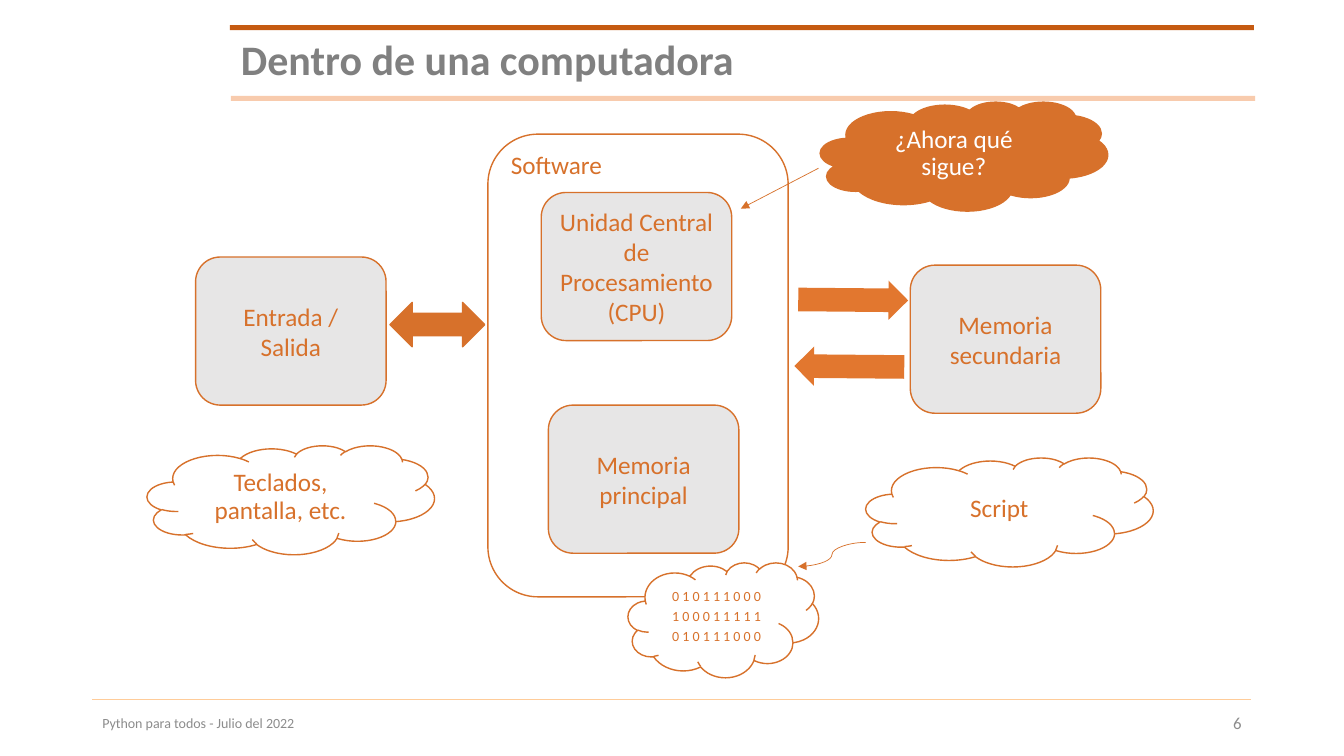
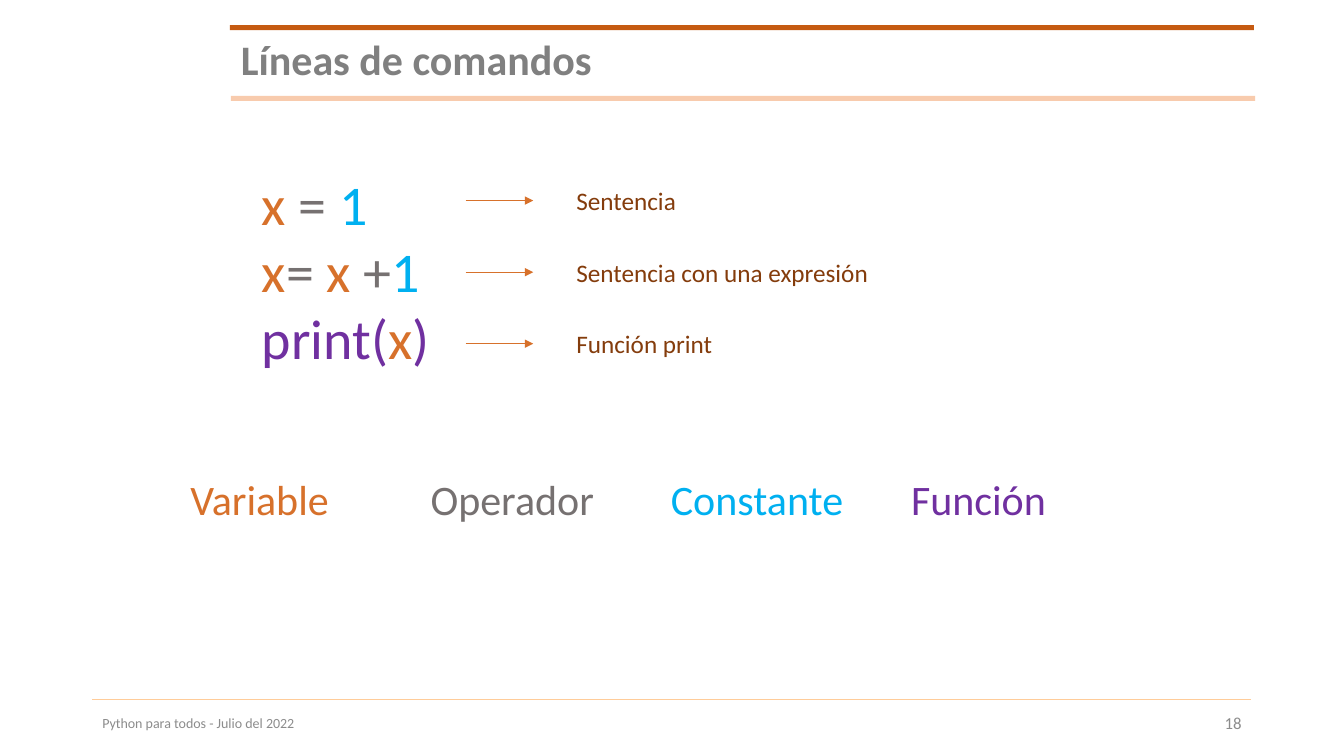
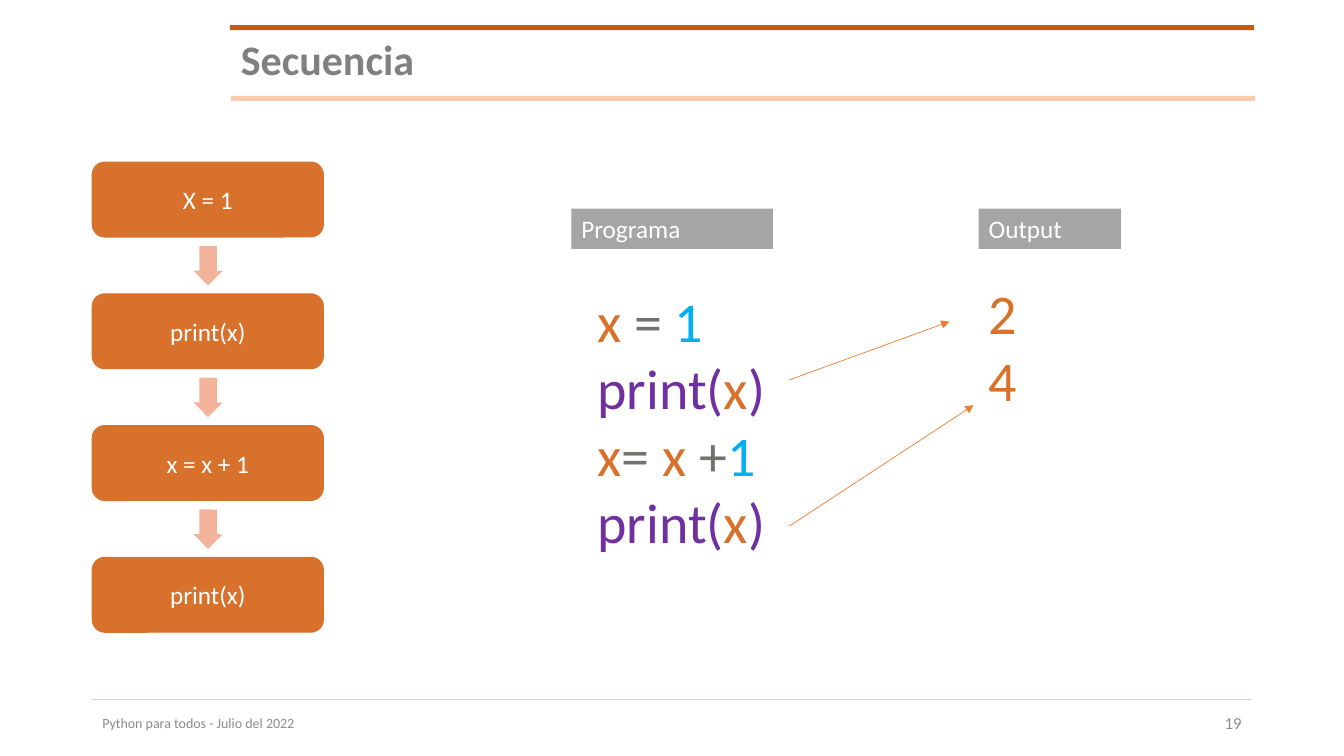
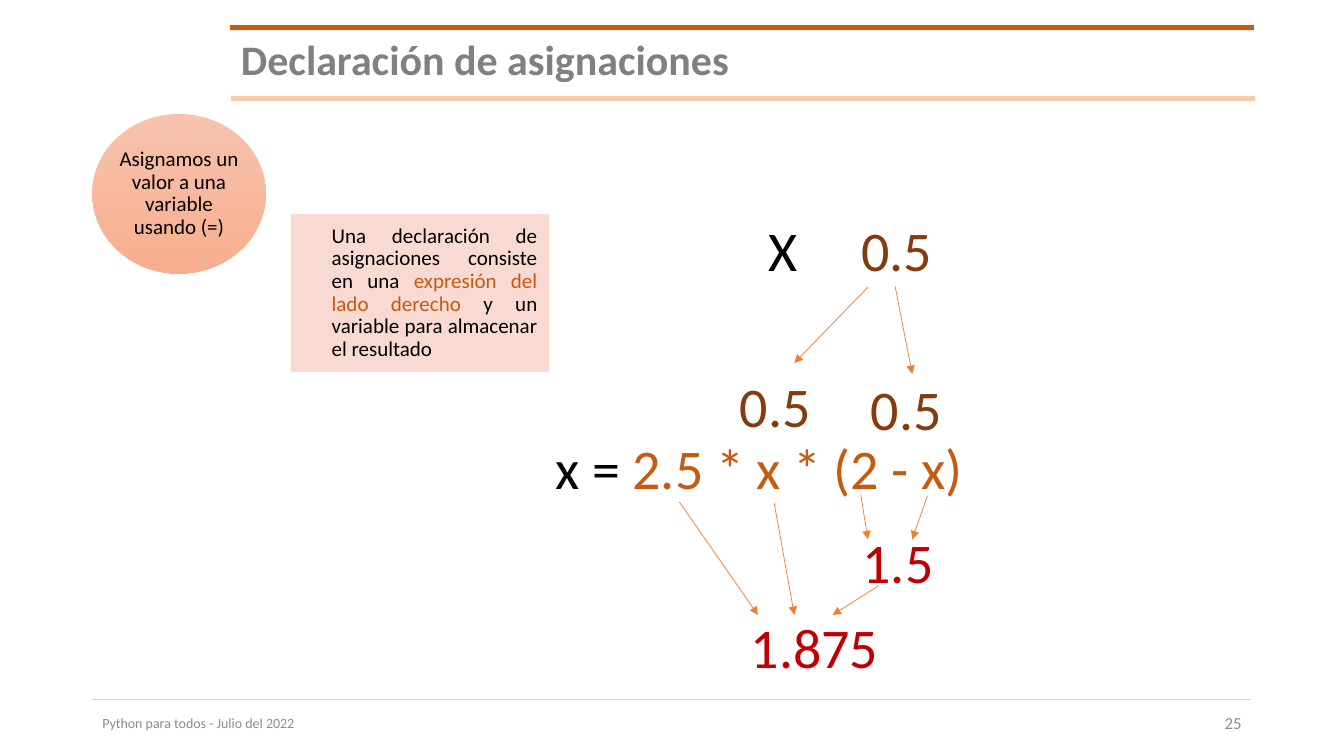
import pptx
import pptx.dml.color
import pptx.enum.shapes
import pptx.enum.text
import pptx.oxml
import pptx.oxml.ns
import pptx.util

Pt = pptx.util.Pt
SHAPE = pptx.enum.shapes.MSO_SHAPE
CONNECTOR = pptx.enum.shapes.MSO_CONNECTOR
ALIGN = pptx.enum.text.PP_ALIGN
ANCHOR = pptx.enum.text.MSO_ANCHOR

COLORS = {
    "orange": "D7712B", "arrow": "E2772F", "thin": "ED7D31", "rust": "C55A11",
    "peach": "F8CBAD", "rule": "FFCC99", "salmon": "F3B29A", "blush": "F8D7CE",
    "glow": "F7BDA5", "ember": "F8A582", "brown": "843C0C", "red": "C00000",
    "cyan": "00B0F0", "purple": "7030A0", "operator": "767171", "title": "808080",
    "footer": "8C8C8C", "tag": "A5A5A5", "light": "E7E6E6", "white": "FFFFFF",
    "black": "000000",
}

# Text defaults, by the object that takes each value
FRAME = {"word_wrap": True, "vertical_anchor": ANCHOR.TOP,
         "margin_left": Pt(7.2), "margin_right": Pt(7.2),
         "margin_top": Pt(3.6), "margin_bottom": Pt(3.6)}
PARA = {"alignment": ALIGN.LEFT, "line_spacing": 1.0, "space_after": Pt(0)}
FONT = {"name": "Calibri", "size": Pt(18), "bold": False}

# Text variants
CENTERED = {"alignment": ALIGN.CENTER, "vertical_anchor": ANCHOR.MIDDLE}
MIDDLE = {"vertical_anchor": ANCHOR.MIDDLE}
TIGHT = {**CENTERED, "line_spacing": 0.9}

# Code lines as coloured spans
ASSIGN = [("x ", "orange"), ("= ", "operator"), ("1", "cyan")]
ADD = [("x", "orange"), ("= ", "operator"), ("x ", "orange"),
       ("+", "operator"), ("1", "cyan")]
PRINT = [("print(", "purple"), ("x", "orange"), (")", "purple")]


def rgb(name):
    return pptx.dml.color.RGBColor.from_string(COLORS[name])


def add_xml(parent, tag, **attributes):
    element = pptx.oxml.parse_xml(f"<a:{tag} {pptx.oxml.ns.nsdecls('a')}/>")
    for name, value in attributes.items():
        element.set(name, value)
    parent.append(element)


def assign(target, defaults, values):
    for name in defaults:
        setattr(target, name, values[name])


class Slides:
    def __init__(self):
        self.deck = pptx.Presentation()
        self.deck.slide_width, self.deck.slide_height = Pt(960), Pt(540)
        self.page = None

    def start(self, title, number):
        """Add a page with its bands, title and footer."""
        self.page = self.deck.slides.add_slide(self.deck.slide_layouts[6])
        self.line((66, 499.6), (893.5, 499.6), "rule", head=False)
        self.shape(SHAPE.RECTANGLE, (164.2, 18, 731.5, 3.6), "rust")
        self.shape(SHAPE.RECTANGLE, (165, 68.4, 731.5, 3.6), "peach")
        self.text((165, 23.8, 729, 41), title, "title", size=Pt(30), bold=True,
                  line_spacing=0.9, **MIDDLE)
        self.text((66, 502.6, 612, 28), "Python para todos - Julio del 2022",
                  "footer", size=Pt(10), **MIDDLE)
        self.text((678, 502.6, 216, 28), str(number), "footer", size=Pt(12),
                  alignment=ALIGN.RIGHT, **MIDDLE)

    def set_text(self, box, content, color, **changes):
        """Fill a box with a string or a list of lines made of coloured spans."""
        values = {**FRAME, **PARA, **FONT, **changes}
        lines = [[(content, color)]] if isinstance(content, str) else content
        frame = box.text_frame
        assign(frame, FRAME, values)
        for index, spans in enumerate(lines):
            para = frame.add_paragraph() if index else frame.paragraphs[0]
            assign(para, PARA, values)
            for words, ink in spans:
                span = para.add_run()
                span.text = words
                assign(span.font, FONT, values)
                span.font.color.rgb = rgb(ink)

    def text(self, place, content, color="orange", **changes):
        box = self.page.shapes.add_textbox(*map(Pt, place))
        self.set_text(box, content, color, **changes)

    def shape(self, kind, place, fill, line=None, width=1, turn=0, adjust=()):
        """Add a preset shape; a pair of colours as fill makes a gradient."""
        shape = self.page.shapes.add_shape(kind, *map(Pt, place))
        shape.shadow.inherit = False
        shape.rotation = turn
        for index, value in enumerate(adjust):
            shape.adjustments[index] = value
        if isinstance(fill, tuple):
            shape.fill.gradient()
            shape.fill.gradient_angle = 270
            for stop, name, position in zip(shape.fill.gradient_stops, fill, (0, 1)):
                stop.color.rgb = rgb(name)
                stop.position = position
        else:
            shape.fill.solid()
            shape.fill.fore_color.rgb = rgb(fill)
        if line:
            shape.line.color.rgb = rgb(line)
            shape.line.width = Pt(width)
        else:
            shape.line.fill.background()
        return shape

    def fade(self, shape):
        """Make the fill 90 % opaque."""
        for fill in ("a:solidFill", "a:gradFill"):
            for part in shape._element.spPr.findall(pptx.oxml.ns.qn(fill)):
                for color in part.iter(pptx.oxml.ns.qn("a:srgbClr")):
                    add_xml(color, "alpha", val="90000")

    def card(self, place, words, fill="light", ink="orange"):
        box = self.shape(SHAPE.ROUNDED_RECTANGLE, place, fill, "orange")
        self.set_text(box, words, ink, **CENTERED)

    def cloud(self, place, content, fill="white", ink="orange", size=18):
        box = self.shape(SHAPE.CLOUD, place, fill, "orange")
        self.set_text(box, content, ink, size=Pt(size), space_after=Pt(size * 0.35),
                      **TIGHT)

    def tag(self, place, words):
        self.set_text(self.shape(SHAPE.RECTANGLE, place, "tag"), words, "white")

    def block_arrow(self, place, fill, turn):
        self.shape(SHAPE.RIGHT_ARROW, place, fill, turn=turn, adjust=(0.6, 0.5))

    def line(self, start, end, color="thin", head=True, kind=CONNECTOR.STRAIGHT):
        line = self.page.shapes.add_connector(kind, *map(Pt, start + end))
        line.line.color.rgb = rgb(color)
        line.line.width = Pt(0.5)
        if head:
            add_xml(line.line._get_or_add_ln(), "tailEnd", type="triangle")
        add_xml(line._element.spPr, "effectLst")


def computer(slides):
    slides.start("Dentro de una computadora", 6)
    slides.cloud((586, 72.7, 205.2, 77.8), "¿Ahora qué sigue?", "orange", "white")
    slides.cloud((105.1, 318.2, 205.2, 77.8), "Teclados, pantalla, etc.")
    # Computer and its parts
    slides.shape(SHAPE.ROUNDED_RECTANGLE, (348.5, 95.8, 214.5, 330.5), "white", "orange")
    for left, top, words in [
            (386.6, 137.5, "Unidad Central de Procesamiento (CPU)"),
            (391.7, 289.4, "Memoria principal"),
            (139.7, 183.6, "Entrada / Salida"),
            (650.2, 189.4, "Memoria secundaria")]:
        slides.card((left, top, 136.1, 105.8), words)
    slides.text((357.8, 103, 118.8, 28.8), "Software")
    # Flows between the parts
    slides.line((584.6, 120.2), (529.2, 149), "orange")
    slides.block_arrow((570.2, 200.2, 78.5, 28.1), "arrow", 0.5)
    slides.block_arrow((567.4, 247.7, 78.5, 28.1), "arrow", 180.5)
    slides.shape(SHAPE.LEFT_RIGHT_ARROW, (278.6, 216, 67.7, 31.7), "orange", "orange")
    # Script and its machine code
    slides.cloud((618.5, 326.9, 205.2, 77.8), "Script")
    bits = ["0 1 0 1 1 1 0 0 0", "1 0 0 0 1 1 1 1 1", "0 1 0 1 1 1 0 0 0"]
    slides.cloud((448.6, 401.8, 136.1, 82.1), [[(row, "orange")] for row in bits], size=10)
    slides.line((618.5, 387.4), (570.2, 404.6), "orange", kind=CONNECTOR.CURVE)


def commands(slides):
    slides.start("Líneas de comandos", 18)
    slides.text((180, 117.4, 234.7, 200.9), [ASSIGN, ADD, PRINT], size=Pt(40))
    # Legend
    legend = [("Variable", "orange"), ("Operador", "operator"),
              ("Constante", "cyan"), ("Función", "purple")]
    for index, (words, color) in enumerate(legend):
        slides.text((128.9 + 171.6 * index, 334.8, 161.3, 79.9), words, color, size=Pt(30))
    # Explanation of each code line
    notes = ["Sentencia", "Sentencia con una expresión", "Función print"]
    for index, words in enumerate(notes):
        drop = 51.1 * index
        slides.text((404.6, 128.9 + drop, 253.4, 28.8), words, "brown")
        slides.line((332.6, 143.3 + drop), (380.9, 143.3 + drop), "orange")


def sequence(slides):
    slides.start("Secuencia", 19)
    # Flow chart
    for index, words in enumerate(["X = 1", "print(x)", "x = x + 1", "print(x)"]):
        top = 115.9 + 94.1 * index
        if index:
            slides.block_arrow((134.6, top - 30.7, 28.1, 20.9), "salmon", 90.5)
        slides.card((66, top, 164.9, 53.3), words, "orange", "white")
    # Program and output
    slides.tag((408.2, 149, 144, 28.8), "Programa")
    slides.tag((699.1, 149, 101.5, 28.8), "Output")
    slides.text((419.8, 200.9, 144, 249.8), [ASSIGN, PRINT, ADD, PRINT], size=Pt(40))
    slides.text((699.1, 195.1, 144, 152.6),
                [[(value, "orange")] for value in "24"], size=Pt(40))
    slides.line((563.8, 271.4), (678.2, 229.7))
    slides.line((563.8, 375.8), (695.5, 289.4))


def assignments(slides):
    slides.start("Declaración de asignaciones", 25)
    # Definition
    panel = slides.shape(SHAPE.RECTANGLE, (207.4, 152.3, 185, 114), "blush", "white", 0.5)
    definition = [("Una declaración de asignaciones consiste en una ", "black"),
                  ("expresión del lado derecho ", "rust"),
                  ("y un variable para almacenar el resultado", "black")]
    slides.set_text(panel, [definition], "black", size=Pt(15), alignment=ALIGN.JUSTIFY,
                    line_spacing=0.9, space_after=Pt(5.25), margin_left=Pt(29.5),
                    margin_right=Pt(8.6), margin_top=Pt(8.6), margin_bottom=Pt(8.6),
                    **MIDDLE)
    circle = slides.shape(SHAPE.OVAL, (66, 81.4, 123.8, 114), ("glow", "ember"))
    no_margins = {name: Pt(0) for name in FRAME if name.startswith("margin")}
    slides.set_text(circle, "Asignamos un valor a una variable usando (=)", "black",
                    size=Pt(15), space_after=Pt(5.25), **no_margins, **TIGHT)
    for shape in (panel, circle):
        slides.fade(shape)
    # Expression and its values
    expression = [("x = ", "black"), ("2.5 * x * (2 - x)", "rust")]
    for left, top, width, content, color in [
            (389.5, 306, 367.9, [expression], "black"),
            (542.2, 150.5, 50, "X", "black"),
            (608, 150.5, 73.4, "0.5", "brown"),
            (614.9, 264.2, 73.4, "0.5", "brown"),
            (521.3, 262.1, 73.4, "0.5", "brown"),
            (609.1, 373, 73.4, "1.5", "red"),
            (529.2, 434.2, 110.2, "1.875", "red")]:
        slides.text((left, top, width, 55.4), content, color, size=Pt(40))
    # Evaluation steps
    for start, end in [
            ((639.4, 204.5), (651.6, 267.1)), ((619.9, 205.2), (567.4, 259.2)),
            ((614.9, 353.5), (619.9, 385.2)), ((662.4, 354.2), (651.6, 385.2)),
            ((627.8, 418.3), (594.7, 439.2)), ((553, 359.3), (567.4, 439.2)),
            ((485.3, 358.6), (541.4, 439.2))]:
        slides.line(start, end)


def main():
    slides = Slides()
    for build in (computer, commands, sequence, assignments):
        build(slides)
    slides.deck.save("out.pptx")


if __name__ == "__main__":
    main()
